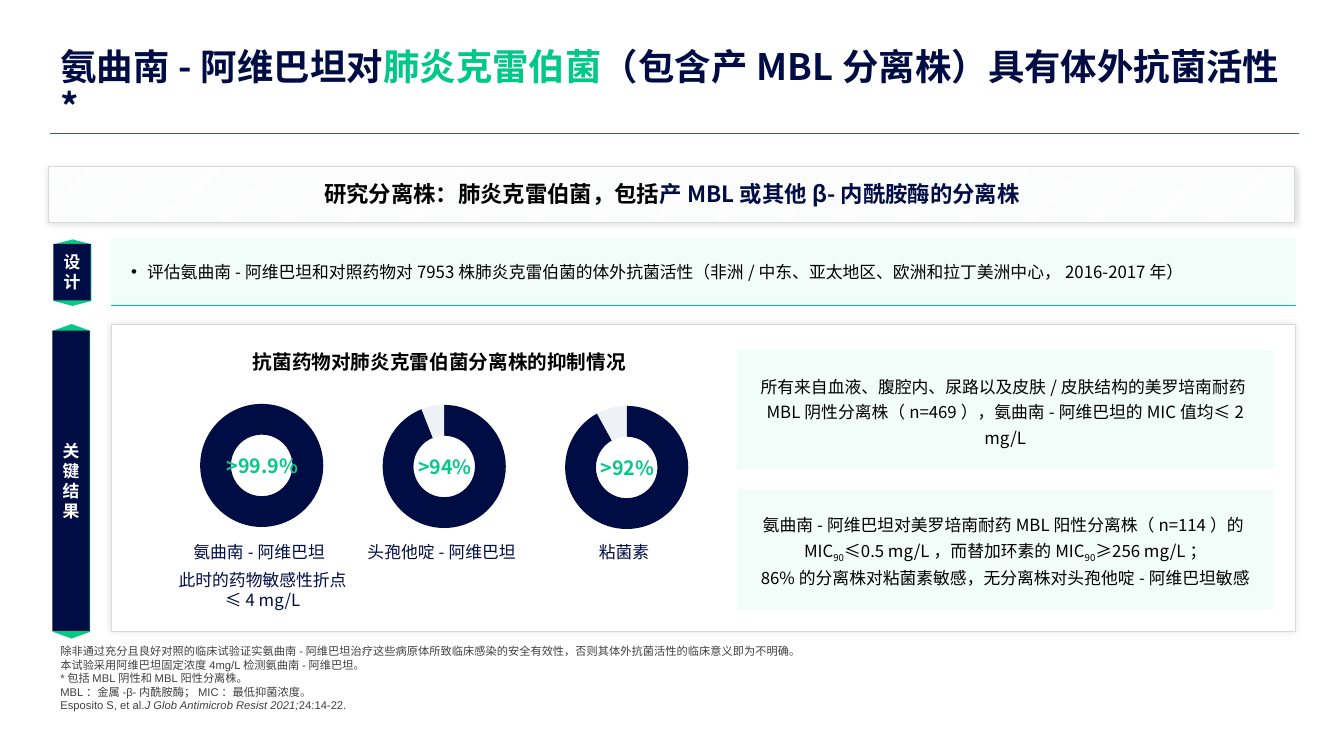
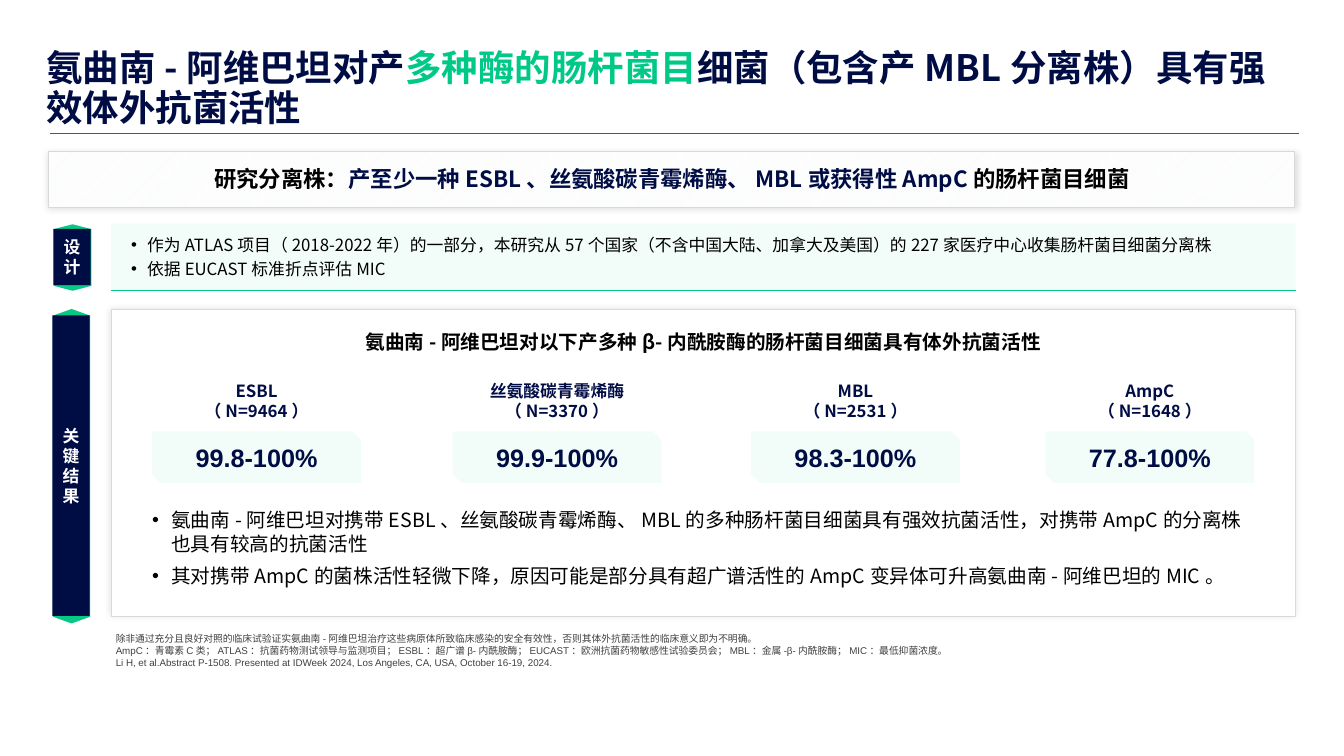
from dataclasses import dataclass, field
from typing import Any

from lxml import etree
from pptx import Presentation
from pptx.chart.data import CategoryChartData
from pptx.dml.color import RGBColor
from pptx.enum.chart import XL_CHART_TYPE as Kind
from pptx.enum.dml import MSO_PATTERN as Pattern
from pptx.enum.shapes import MSO_CONNECTOR as Link, MSO_SHAPE as Form
from pptx.enum.text import MSO_ANCHOR as Anchor, MSO_AUTO_SIZE as Fit, PP_ALIGN as Align
from pptx.oxml.ns import qn
from pptx.util import Pt

PX = 9144
SANS, ARIAL = "Noto Sans CJK SC", "Arial"
NAVY, GREEN, LIME, MINT = "000D45", "08C886", "00C987", "F2FCF9"
BLACK, WHITE, GREY, EDGE, PALE = "000000", "FFFFFF", "404040", "D9D9D9", "EEF1F6"
RULE, HATCH = "375D8B", "F2F3F5"
MID, LOW, TOP = Anchor.MIDDLE, Anchor.BOTTOM, Anchor.TOP
Box = tuple[int, int, int, int]


@dataclass(frozen=True)
class Run:
    text: str
    fmt: dict[str, Any] = field(default_factory=dict)
    base: int = 0


Para = list[Run]


@dataclass(frozen=True)
class Ring:
    name: str
    label: str
    share: int


@dataclass(frozen=True)
class Card:
    left: int
    name: str
    count: int
    span: str


@dataclass(frozen=True)
class Page:
    title: Para
    spot: Box
    shift: int
    banner: Para
    design: list[str]
    notes: list[Para]
    foot: Box
    small: int


def px(*vals: int) -> list[int]:
    return [val * PX for val in vals]


def rgb(code: str) -> RGBColor:
    return RGBColor.from_string(code)


def font(size: int, color: str = BLACK, bold: bool = False, name: str = SANS) -> dict[str, Any]:
    return {"size": Pt(size), "bold": bold, "name": name, "color": color}


def paint(target: Any, fmt: dict[str, Any]) -> None:
    for key, val in fmt.items():
        if key == "color":
            target.color.rgb = rgb(val)
        else:
            setattr(target, key, val)


def write(shape: Any, paras: list[Para], fmt: dict[str, Any], align: Align = Align.CENTER,
          anchor: Anchor = MID, pad: tuple[int, int] = (0, 0), bullet: int = 0,
          gap: int = 0, lines: float | None = None) -> None:
    """Fill a shape; bullet is the hanging indent, gap the points between paragraphs."""
    frame = shape.text_frame
    wide, high = px(*pad)
    paint(frame, {"auto_size": Fit.NONE, "word_wrap": True, "vertical_anchor": anchor,
                  "margin_left": wide, "margin_right": wide,
                  "margin_top": high, "margin_bottom": high})
    for num, runs in enumerate(paras):
        para = frame.add_paragraph() if num else frame.paragraphs[0]
        paint(para, {"alignment": align, "line_spacing": lines,
                     "space_before": Pt(gap if num else 0)})
        if bullet:
            props = para._p.get_or_add_pPr()
            props.set("marL", str(bullet * PX))
            props.set("indent", str(-bullet * PX))
            etree.SubElement(props, qn("a:buFont"), typeface=ARIAL)
            etree.SubElement(props, qn("a:buChar"), char="•")
        for run in runs:
            if run.text == "\n":
                para.add_line_break()
                continue
            part = para.add_run()
            part.text = run.text
            paint(part.font, fmt | run.fmt)
            props = part._r.get_or_add_rPr()
            etree.SubElement(props, qn("a:ea"), typeface=SANS)
            if run.base:
                props.set("baseline", str(run.base * 1000))


def text(slide: Any, box: Box, paras: list[Para], fmt: dict[str, Any], **opts: Any) -> None:
    write(slide.shapes.add_textbox(*px(*box)), paras, fmt, **opts)


def block(slide: Any, box: Box, fill: str, form: Form = Form.RECTANGLE) -> Any:
    shape = slide.shapes.add_shape(form, *px(*box))
    shape.shadow.inherit = False
    shape.fill.solid()
    shape.fill.fore_color.rgb = rgb(fill)
    shape.line.fill.background()
    return shape


def panel(slide: Any, box: Box) -> Any:
    """White block with a thin edge and a soft shadow."""
    shape = block(slide, box, WHITE)
    shape.line.color.rgb = rgb(EDGE)
    shape.line.width = Pt(0.25)
    glow = etree.SubElement(shape._element.spPr.find(qn("a:effectLst")), qn("a:outerShdw"),
                            blurRad=str(Pt(5)), dist="0", dir="0", algn="ctr", rotWithShape="0")
    tint = etree.SubElement(glow, qn("a:srgbClr"), val=BLACK)
    etree.SubElement(tint, qn("a:alpha"), val="12000")
    return shape


def rule(slide: Any, left: int, right: int, top: int, color: str, width: float) -> None:
    line = slide.shapes.add_connector(Link.STRAIGHT, *px(left, top, right, top))
    line.line.color.rgb = rgb(color)
    line.line.width = Pt(width)
    etree.SubElement(line._element.spPr, qn("a:effectLst"))


def badge(slide: Any, left: int, mid: int, tall: int, inner: int, tip: float, label: str) -> None:
    """Upright navy label with green points above and below."""
    wide = 37
    hexa = block(slide, (left + wide // 2 + 1 - tall // 2, mid - wide // 2, tall, wide),
                 GREEN, Form.HEXAGON)
    hexa.rotation = 90
    hexa.adjustments[0] = tip
    body = block(slide, (left, mid - inner // 2, wide, inner), NAVY)
    write(body, [[Run(label)]], font(12, WHITE, True), pad=(10, 0))


def start(deck: Any, page: Page) -> Any:
    """Add a slide with everything the pages share."""
    slide = deck.slides.add_slide(deck.slide_layouts[5])
    title, dy = slide.shapes.title, page.shift
    for key, val in zip(("left", "top", "width", "height"), px(*page.spot)):
        setattr(title, key, val)
    write(title, [page.title], font(26, NAVY, True), Align.LEFT, LOW, (10, 5), lines=0.9)
    rule(slide, 50, 1288, 132, RULE, 0.75)
    text(slide, page.foot, page.notes, font(page.small, GREY, name=ARIAL),
         align=Align.LEFT, anchor=LOW, pad=(10, 5))
    block(slide, (110, 237 + dy, 1175, 66), MINT)
    rule(slide, 110, 1285, 303 + dy, GREEN, 0.5)
    text(slide, (130, 247 + dy, 1117, 46), [[Run(item)] for item in page.design], font(12),
         align=Align.LEFT, bullet=16, gap=3)
    panel(slide, (110, 322 + dy, 1175, 304))
    badge(slide, 52, 477 + dy, 312, 298, 0.18, "关键结果")
    badge(slide, 53, 270 + dy, 66, 56, 0.13, "设计")
    fill = panel(slide, (48, 165 + dy, 1236, 56)).fill
    fill.patterned()
    fill.pattern = Pattern.DARK_UPWARD_DIAGONAL
    fill.fore_color.rgb, fill.back_color.rgb = rgb(HATCH), rgb(WHITE)
    text(slide, (86, 179 + dy, 1161, 27), [page.banner], font(16, BLACK, True), anchor=TOP)
    return slide


def donut(slide: Any, box: Box, share: int) -> None:
    data = CategoryChartData()
    data.categories = ["1", "2"]
    data.add_series("Series 1", [share, 100 - share])
    chart = slide.shapes.add_chart(Kind.DOUGHNUT, *px(*box), data).chart
    chart.has_title = chart.has_legend = False
    paint(chart.font, font(10, name=ARIAL))
    plot = chart.plots[0]
    plot.vary_by_categories = False
    for num, color in enumerate((NAVY, PALE if share < 100 else NAVY)):
        look = plot.series[0].points[num].format
        look.fill.solid()
        look.fill.fore_color.rgb = rgb(color)
        look.line.fill.background()
    plot._element.find(qn("c:holeSize")).set("val", "75")
    area = plot._element.getparent()
    for old in area.findall(qn("c:layout")):
        area.remove(old)
    outer = etree.Element(qn("c:layout"))
    area.insert(0, outer)
    grid = etree.SubElement(outer, qn("c:manualLayout"))
    for key, val in (("layoutTarget", "inner"), ("xMode", "edge"), ("yMode", "edge"),
                     ("x", "0.265"), ("y", "0.11"), ("w", "0.444"), ("h", "0.759")):
        etree.SubElement(grid, qn(f"c:{key}"), val=val)


NOTE = [Run("除非通过充分且良好对照的临床试验证实氨曲南-阿维巴坦治疗这些病原体所致临床感染的安全有效性，"
            "否则其体外抗菌活性的临床意义即为不明确。")]
KLEB = Page(
    [Run("氨曲南-阿维巴坦对"), Run("肺炎克雷伯菌", {"color": LIME}),
     Run("（包含产MBL分离株）具有体外抗菌活性*")],
    (50, 68, 1236, 64), 0,
    [Run("研究分离株：肺炎克雷伯菌，包括"), Run("产MBL或其他β-内酰胺酶的分离株", {"color": NAVY})],
    ["评估氨曲南-阿维巴坦和对照药物对7953株肺炎克雷伯菌的体外抗菌活性"
     "（非洲/中东、亚太地区、欧洲和拉丁美洲中心，2016-2017年）"],
    [NOTE, [Run("本试验采用阿维巴坦固定浓度4mg/L检测氨曲南-阿维巴坦。")],
     [Run("*包括MBL阴性和MBL阳性分离株。")],
     [Run("MBL：金属-β-内酰胺酶；MIC：最低抑菌浓度。")],
     [Run("Esposito S, et al."), Run("J Glob Antimicrob Resist 2021;", {"italic": True}),
      Run("24:14-22.")]],
    (50, 636, 1193, 75), 8)
ENZYME = Page(
    [Run("氨曲南-阿维巴坦对产"), Run("多种酶的肠杆菌目", {"color": LIME}),
     Run("细菌（包含产MBL分离株）具有强效体外抗菌活性")],
    (36, 50, 1258, 83), -15,
    [Run("研究分离株："),
     Run("产至少一种ESBL、丝氨酸碳青霉烯酶、MBL或获得性AmpC", {"color": NAVY}),
     Run("的肠杆菌目细菌")],
    ["作为ATLAS项目（2018-2022年）的一部分，本研究从57个国家（不含中国大陆、加拿大及美国）"
     "的227家医疗中心收集肠杆菌目细菌分离株", "依据EUCAST标准折点评估MIC"],
    [NOTE, [Run("AmpC：青霉素C类；ATLAS：抗菌药物测试领导与监测项目；ESBL：超广谱β-内酰胺酶；"
                "EUCAST：欧洲抗菌药物敏感性试验委员会；MBL：金属-β-内酰胺酶；MIC：最低抑菌浓度。")],
     [Run("Li H, et al.Abstract P-1508. Presented at IDWeek 2024, Los Angeles, CA, USA, "
          "October 16-19, 2024.")]],
    (105, 615, 1120, 53), 7)
RINGS = [Ring("氨曲南-阿维巴坦", ">99.9%", 100), Ring("头孢他啶-阿维巴坦", ">94%", 94),
         Ring("粘菌素", ">92%", 92)]
FACTS = [
    [Run("所有来自血液、腹腔内、尿路以及皮肤/皮肤结构的美罗培南耐药MBL阴性分离株（n=469），"
         "氨曲南-阿维巴坦的MIC值均≤2 mg/L")],
    [Run("氨曲南-阿维巴坦对美罗培南耐药MBL阳性分离株（n=114）的MIC"), Run("90", base=-25),
     Run("≤0.5 mg/L，而替加环素的MIC"), Run("90", base=-25), Run("≥256 mg/L；"), Run("\n"),
     Run("86%的分离株对粘菌素敏感，无分离株对头孢他啶-阿维巴坦敏感")]]
CARDS = [Card(151, "ESBL", 9464, "99.8-100%"), Card(449, "丝氨酸碳青霉烯酶", 3370, "99.9-100%"),
         Card(745, "MBL", 2531, "98.3-100%"), Card(1037, "AmpC", 1648, "77.8-100%")]
POINTS = [
    "氨曲南-阿维巴坦对携带ESBL、丝氨酸碳青霉烯酶、MBL的多种肠杆菌目细菌具有强效抗菌活性，"
    "对携带AmpC的分离株也具有较高的抗菌活性",
    "其对携带AmpC的菌株活性轻微下降，原因可能是部分具有超广谱活性的AmpC变异体可升高氨曲南-阿维巴坦的MIC。"]


def kleb(deck: Any) -> None:
    slide = start(deck, KLEB)
    text(slide, (206, 347, 460, 24), [[Run("抗菌药物对肺炎克雷伯菌分离株的抑制情况")]],
         font(14, BLACK, True))
    for num, ring in enumerate(RINGS):
        dx = 181 * num
        donut(slide, (116 + dx, 383 + num, 295, 161), ring.share)
        text(slide, (210 + dx, 434 + num, 101, 56), [[Run(ring.label)]], font(14, GREEN, True))
        text(slide, (153 + dx, 520, 208, 55), [[Run(ring.name)]], font(12, NAVY))
    text(slide, (164, 565, 193, 40), [[Run("此时的药物敏感性折点≤4 mg/L")]],
         font(12, NAVY), anchor=TOP)
    for num, fact in enumerate(FACTS):
        write(block(slide, (731, 347 + 138 * num, 532, 119), MINT), [fact], font(12),
              pad=(16, 0), lines=1.25)


def enzyme(deck: Any) -> None:
    slide = start(deck, ENZYME)
    text(slide, (322, 322, 751, 33),
         [[Run("氨曲南-阿维巴坦对以下产多种β-内酰胺酶的肠杆菌目细菌具有体外抗菌活性")]],
         font(14, BLACK, True))
    for card in CARDS:
        text(slide, (card.left, 378, 207, 40), [[Run(card.name)], [Run(f"（N={card.count}）")]],
             font(12, NAVY, True))
        write(block(slide, (card.left, 428, 207, 51), MINT, Form.SNIP_2_DIAG_RECTANGLE),
              [[Run(card.span)]], font(18, NAVY, True, ARIAL))
    text(slide, (151, 497, 1093, 93), [[Run(item)] for item in POINTS], font(14),
         align=Align.LEFT, bullet=19, gap=6)


def main() -> None:
    deck = Presentation()
    deck.slide_width, deck.slide_height = px(1333, 750)
    kleb(deck)
    enzyme(deck)
    deck.save("out.pptx")


if __name__ == "__main__":
    main()
